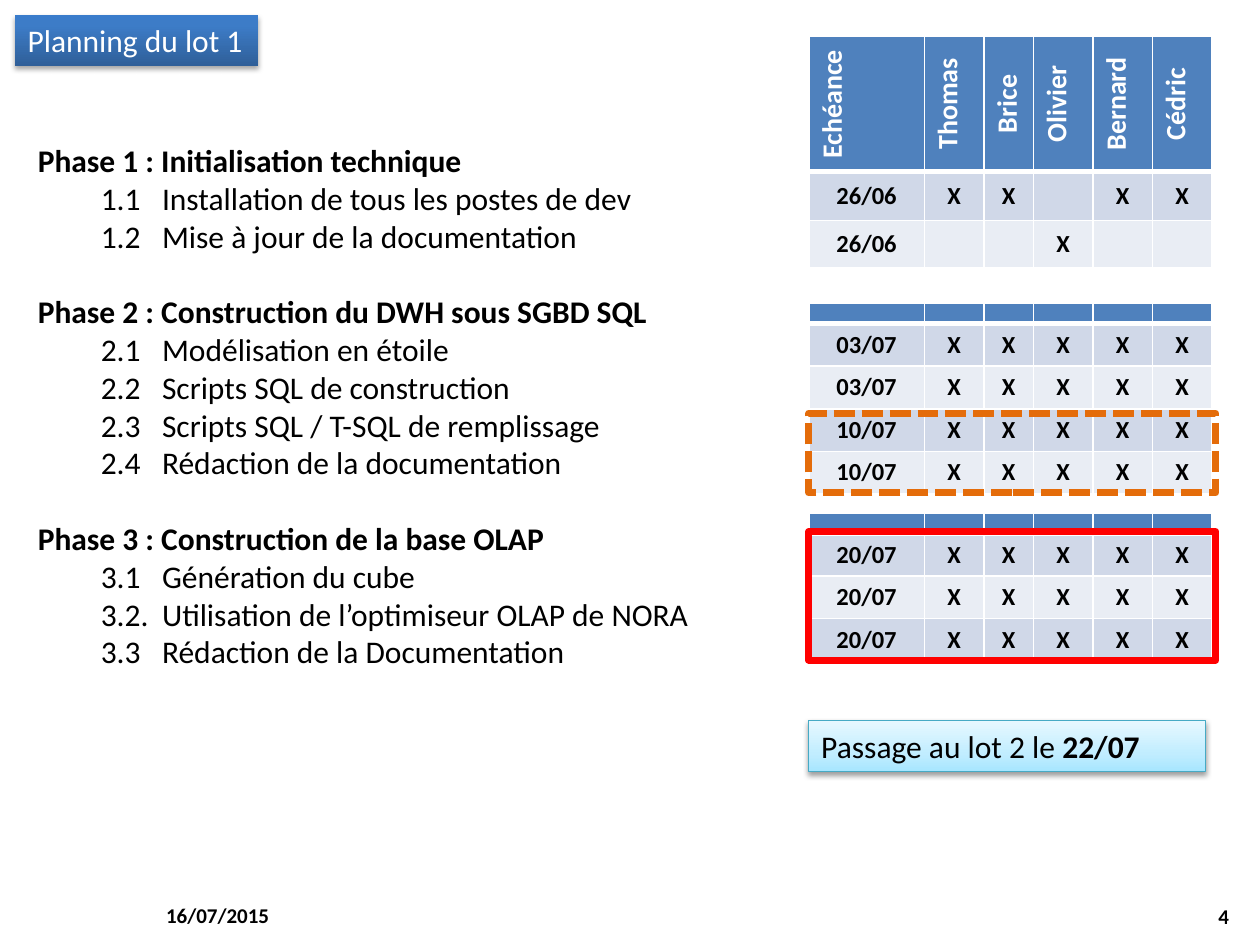
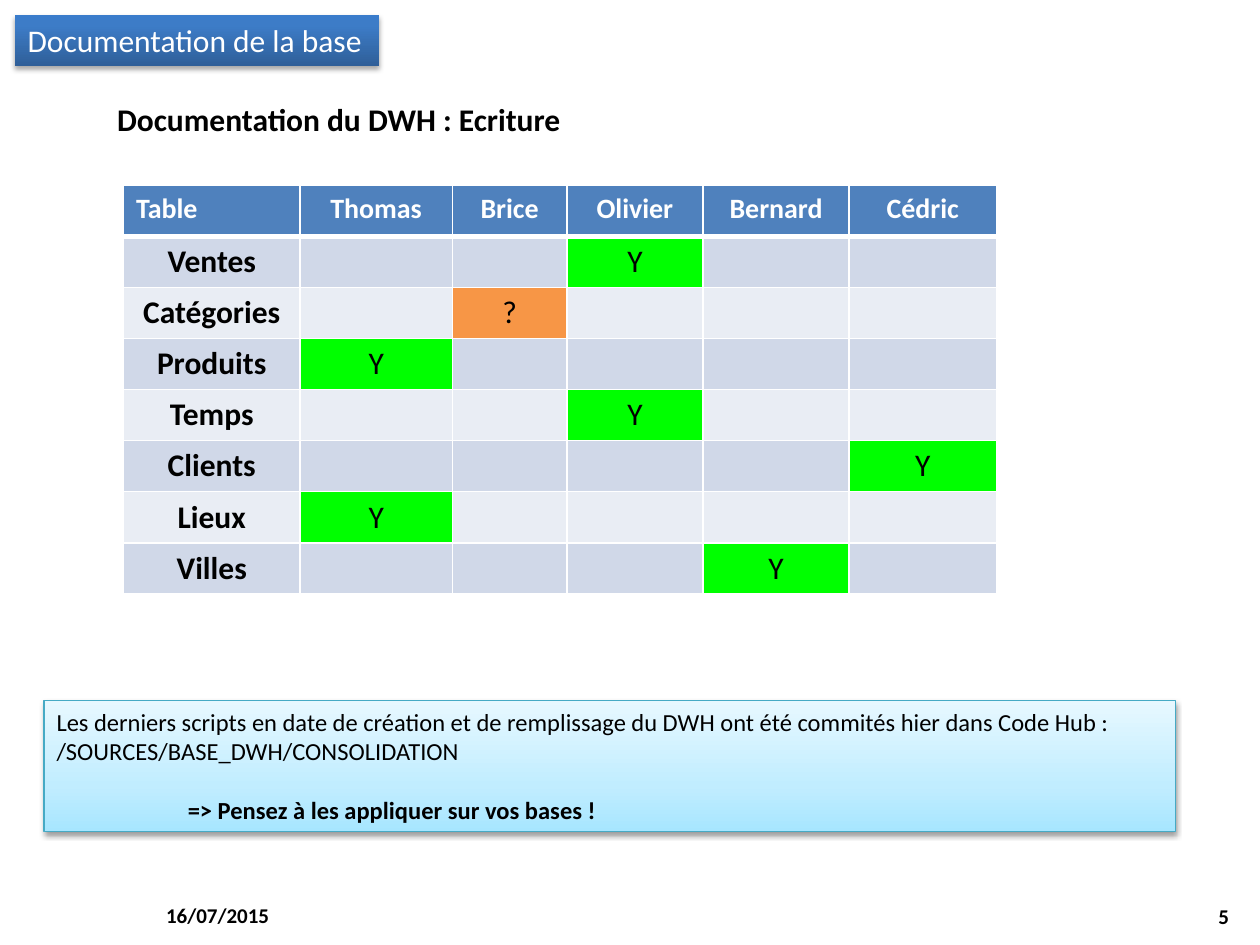
from dataclasses import dataclass
from typing import Optional

from lxml.etree import SubElement
from pptx import Presentation
from pptx.dml.color import RGBColor
from pptx.enum.dml import MSO_LINE
from pptx.enum.shapes import MSO_SHAPE
from pptx.enum.text import MSO_ANCHOR, MSO_AUTO_SIZE, PP_ALIGN
from pptx.oxml.ns import qn
from pptx.util import Pt

FONT = "Calibri"
COLORS = {
    "text": "000000", "white": "FFFFFF", "header": "4F81BD",
    "band_dark": "D0D8E8", "band_light": "E9EDF4",
    "yes": "00FF00", "unknown": "F79646",
    "late": "FF0000", "soon": "E46C0A", "callout_line": "46AAC5",
}
TITLE_STOPS = ((0, "2F5F99"), (80, "3D7CC7"), (100, "3A7CCB"))
CALLOUT_STOPS = ((0, "A7E6FF"), (35, "C1EDFF"), (100, "E7F8FF"))
ANSWER_FILLS = {"Y": "yes", "?": "unknown"}

DATE = "16/07/2015"
TEAM = ("Thomas", "Brice", "Olivier", "Bernard", "Cédric")
LINE_HEIGHT = 1.2
PLANNING_LEFT = 462.2
PLANNING_COLUMNS = (66, 34, 28.4, 34, 34, 34)
TASK_ROW = 24.3
STRIP_ROW = 11.5


@dataclass(frozen=True)
class Box:
    left: float
    top: float
    width: float
    height: float

    def lengths(self) -> tuple:
        return Pt(self.left), Pt(self.top), Pt(self.width), Pt(self.height)


@dataclass(frozen=True)
class Phase:
    heading: str
    tasks: tuple


@dataclass(frozen=True)
class Grid:
    left: float
    top: float
    columns: tuple
    heights: tuple
    rows: tuple
    header_size: float = 16
    body_size: float = 14
    upright_header: bool = False
    anchor: Optional[MSO_ANCHOR] = MSO_ANCHOR.MIDDLE


@dataclass(frozen=True)
class Deadline:
    box: Box
    color: str
    dash: Optional[MSO_LINE] = None


PHASES = (
    Phase("Phase 1 : Initialisation technique", (
        ("1.1", "Installation de tous les postes de dev"),
        ("1.2", "Mise à jour de la documentation"))),
    Phase("Phase 2 : Construction du DWH sous SGBD SQL", (
        ("2.1", "Modélisation en étoile"),
        ("2.2", "Scripts SQL de construction"),
        ("2.3", "Scripts SQL / T-SQL de remplissage"),
        ("2.4", "Rédaction de la documentation"))),
    Phase("Phase 3 : Construction de la base OLAP", (
        ("3.1", "Génération du cube"),
        ("3.2.", "Utilisation de l’optimiseur OLAP de NORA"),
        ("3.3", "Rédaction de la Documentation"))),
)


def planning_rows(*dates: str) -> tuple:
    """An empty header strip, then one fully staffed row per date."""
    return (("",) * 6, *((date,) + ("X",) * 5 for date in dates))


PLANNING = (
    Grid(PLANNING_LEFT, 20.9, PLANNING_COLUMNS, (77, 28, 27), (
        ("Echéance", *TEAM),
        ("26/06", "X", "X", "", "X", "X"),
        ("26/06", "", "", "X", "", "")), upright_header=True),
    Grid(PLANNING_LEFT, 173.5, PLANNING_COLUMNS, (STRIP_ROW,) + (TASK_ROW,) * 4,
         planning_rows("03/07", "03/07", "10/07", "10/07"), header_size=1),
    Grid(PLANNING_LEFT, 293.5, PLANNING_COLUMNS, (STRIP_ROW,) + (TASK_ROW,) * 3,
         planning_rows("20/07", "20/07", "20/07"), header_size=1),
)
DEADLINES = (
    Deadline(Box(PLANNING_LEFT, 303.8, 232.6, 73.4), "late"),
    Deadline(Box(PLANNING_LEFT, 236.2, 232.6, 45.4), "soon", MSO_LINE.SQUARE_DOT),
)

WRITERS = (
    ("Ventes", "Olivier", "Y"), ("Catégories", "Brice", "?"),
    ("Produits", "Thomas", "Y"), ("Temps", "Olivier", "Y"),
    ("Clients", "Cédric", "Y"), ("Lieux", "Thomas", "Y"),
    ("Villes", "Bernard", "Y"),
)
OWNERSHIP = Grid(
    70.6, 105.8, (100.8, 87.1, 65.5, 77.8, 83.5, 84.2), (29.2,) * 8,
    (("Table", *TEAM),
     *((table, *(answer if member == writer else "" for member in TEAM))
       for table, writer, answer in WRITERS)),
    body_size=18, anchor=None)


def rgb(name: str) -> RGBColor:
    return RGBColor.from_string(COLORS[name])


def add_run(paragraph, text: str, size: float, bold: bool = False,
            color: str = "text") -> None:
    run = paragraph.add_run()
    run.text = text
    run.font.name = FONT
    run.font.size = Pt(size)
    run.font.bold = bold
    run.font.color.rgb = rgb(color)


def set_indent(paragraph, margin: float, first: float = 0) -> None:
    properties = paragraph._p.get_or_add_pPr()
    properties.set("marL", str(Pt(margin)))
    properties.set("indent", str(Pt(first)))


def next_paragraph(frame, index: int):
    return frame.paragraphs[0] if index == 0 else frame.add_paragraph()


def place(shape, box: Box) -> None:
    shape.left, shape.top, shape.width, shape.height = box.lengths()


def paint_raised(shape, stops: tuple, opacity: int, distance: float) -> None:
    """Give a vertical gradient and a soft shadow below."""
    shape.fill.gradient()
    shape.fill.gradient_angle = 90
    properties = shape._element.spPr
    stop_list = properties.find(qn("a:gradFill")).find(qn("a:gsLst"))
    for stop in list(stop_list):
        stop_list.remove(stop)
    for position, color in stops:
        stop = SubElement(stop_list, qn("a:gs"), pos=str(position * 1000))
        SubElement(stop, qn("a:srgbClr"), val=color)
    shape.shadow.inherit = False
    shadow = SubElement(properties.find(qn("a:effectLst")), qn("a:outerShdw"),
                        blurRad=str(Pt(3.1)), dist=str(Pt(distance)),
                        dir="5400000", rotWithShape="0")
    tint = SubElement(shadow, qn("a:srgbClr"), val=COLORS["text"])
    SubElement(tint, qn("a:alpha"), val=str(opacity * 1000))


def write_title(slide, text: str, width: float) -> None:
    title = slide.shapes.title
    place(title, Box(8.6, 8.6, width, 29.1))
    paint_raised(title, TITLE_STOPS, 35, 1.8)
    frame = title.text_frame
    frame.word_wrap = False
    frame.auto_size = MSO_AUTO_SIZE.NONE
    frame.vertical_anchor = MSO_ANCHOR.TOP
    frame.paragraphs[0].alignment = PP_ALIGN.LEFT
    add_run(frame.paragraphs[0], text, 18, color="white")


def add_label(slide, box: Box, text: str, size: float,
              align: PP_ALIGN = PP_ALIGN.LEFT) -> None:
    frame = slide.shapes.add_textbox(*box.lengths()).text_frame
    frame.word_wrap = True
    frame.vertical_anchor = MSO_ANCHOR.MIDDLE
    frame.paragraphs[0].alignment = align
    add_run(frame.paragraphs[0], text, size, bold=True)


def add_footer(slide, number: int) -> None:
    add_label(slide, Box(87.8, 508.3, 168, 28.8), DATE, 12)
    add_label(slide, Box(541.4, 509, 168, 28.8), str(number), 12, PP_ALIGN.RIGHT)


def write_phases(body) -> None:
    place(body, Box(14.4, 77, 469.4, 312.5))
    frame = body.text_frame
    frame.auto_size = MSO_AUTO_SIZE.NONE
    frame.word_wrap = True
    for phase_index, phase in enumerate(PHASES):
        heading = next_paragraph(frame, phase_index)
        heading.space_before = Pt(18 * LINE_HEIGHT if phase_index else 0)
        set_indent(heading, 0)
        add_run(heading, phase.heading, 18, bold=True)
        paragraphs = [heading]
        for number, task in phase.tasks:
            item = frame.add_paragraph()
            item.space_before = Pt(0)
            set_indent(item, 71, -35)
            add_run(item, f"{number}\t{task}", 18)
            paragraphs.append(item)
        for paragraph in paragraphs:
            SubElement(paragraph._p.get_or_add_pPr(), qn("a:buNone"))


def set_borders(cell, bottom: float) -> None:
    properties = cell._tc.get_or_add_tcPr()
    for side, width in (("L", 1), ("R", 1), ("T", 1), ("B", bottom)):
        line = SubElement(properties, qn(f"a:ln{side}"), w=str(Pt(width)))
        fill = SubElement(line, qn("a:solidFill"))
        SubElement(fill, qn("a:srgbClr"), val=COLORS["white"])


def fill_cell(cell, text: str, row: int, column: int, grid: Grid) -> None:
    header = row == 0
    size = grid.header_size if header else grid.body_size
    band = "header" if header else ("band_light", "band_dark")[row % 2]
    set_borders(cell, 3 if header else 1)
    cell.fill.solid()
    cell.fill.fore_color.rgb = rgb(ANSWER_FILLS.get(text, band))
    if grid.anchor is not None:
        cell.vertical_anchor = grid.anchor
    if header and grid.upright_header:
        cell._tc.get_or_add_tcPr().set("vert", "vert270")
    paragraph = cell.text_frame.paragraphs[0]
    if not text:
        SubElement(paragraph._p, qn("a:endParaRPr"), sz=str(int(size * 100)))
        return
    if not header or column:
        paragraph.alignment = PP_ALIGN.CENTER
    add_run(paragraph, text, size, bold=text not in ANSWER_FILLS,
            color="white" if header else "text")


def add_grid(slide, grid: Grid) -> None:
    box = Box(grid.left, grid.top, sum(grid.columns), sum(grid.heights))
    table = slide.shapes.add_table(len(grid.rows), len(grid.columns),
                                   *box.lengths()).table
    for column, width in zip(table.columns, grid.columns):
        column.width = Pt(width)
    for row, height in zip(table.rows, grid.heights):
        row.height = Pt(height)
    for row, texts in enumerate(grid.rows):
        for column, text in enumerate(texts):
            fill_cell(table.cell(row, column), text, row, column, grid)


def add_callout(slide, box: Box):
    callout = slide.shapes.add_shape(MSO_SHAPE.RECTANGLE, *box.lengths())
    callout.line.color.rgb = rgb("callout_line")
    callout.line.width = Pt(0.75)
    paint_raised(callout, CALLOUT_STOPS, 38, 1.6)
    frame = callout.text_frame
    frame.word_wrap = True
    frame.vertical_anchor = MSO_ANCHOR.TOP
    frame.paragraphs[0].alignment = PP_ALIGN.LEFT
    return frame


def add_deadline(slide, deadline: Deadline) -> None:
    frame = slide.shapes.add_shape(MSO_SHAPE.RECTANGLE, *deadline.box.lengths())
    frame.shadow.inherit = False
    frame.fill.background()
    frame.line.color.rgb = rgb(deadline.color)
    frame.line.width = Pt(4)
    if deadline.dash is not None:
        frame.line.dash_style = deadline.dash


def build_planning(prs) -> None:
    slide = prs.slides.add_slide(prs.slide_layouts[1])
    add_footer(slide, 4)
    write_title(slide, "Planning du lot 1", 139)
    write_phases(slide.placeholders[1])
    for grid in PLANNING:
        add_grid(slide, grid)
    handover = add_callout(slide, Box(PLANNING_LEFT, 411.8, 226.8, 29.1)).paragraphs[0]
    add_run(handover, "Passage au lot 2 le ", 18)
    add_run(handover, "22/07", 18, bold=True)
    for deadline in DEADLINES:
        add_deadline(slide, deadline)


def build_documentation(prs) -> None:
    slide = prs.slides.add_slide(prs.slide_layouts[5])
    add_footer(slide, 5)
    write_title(slide, "Documentation de la base", 208)
    add_label(slide, Box(59.8, 53.3, 275, 29.1), "Documentation du DWH : Ecriture", 18)
    add_grid(slide, OWNERSHIP)
    notice = add_callout(slide, Box(25.2, 400.3, 646.6, 74.9))
    add_run(notice.paragraphs[0],
            "Les derniers scripts en date de création et de remplissage du DWH ont été "
            "commités hier dans Code Hub : /SOURCES/BASE_DWH/CONSOLIDATION", 14)
    reminder = notice.add_paragraph()
    reminder.alignment = PP_ALIGN.LEFT
    reminder.space_before = Pt(14 * LINE_HEIGHT)
    set_indent(reminder, 75)
    add_run(reminder, "=> Pensez à les appliquer sur vos bases !", 14, bold=True)


def main() -> None:
    prs = Presentation()
    prs.slide_width, prs.slide_height = Pt(720), Pt(540)
    build_planning(prs)
    build_documentation(prs)
    prs.save("out.pptx")


if __name__ == "__main__":
    main()
